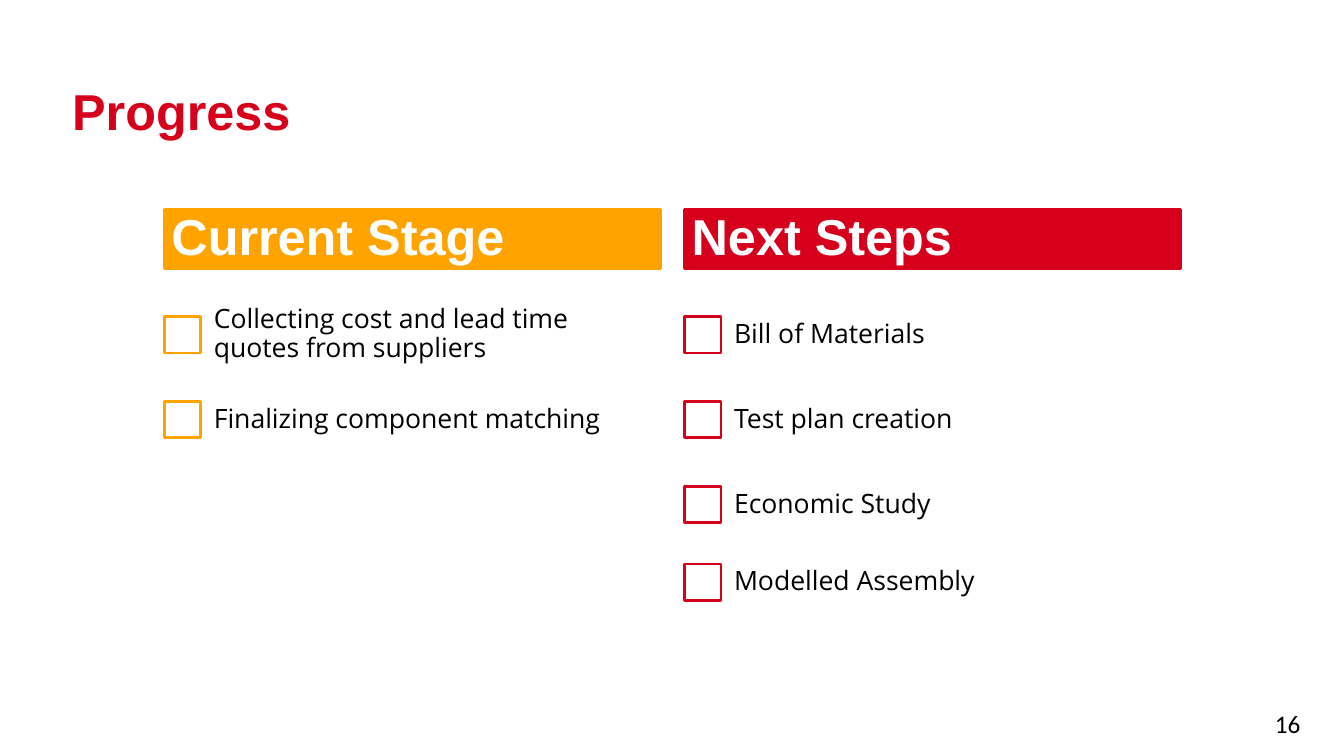
from pptx import Presentation
from pptx.dml.color import RGBColor
from pptx.enum.shapes import MSO_SHAPE
from pptx.enum.text import MSO_ANCHOR, PP_ALIGN
from pptx.util import Cm, Pt

RED, AMBER, WHITE, BLACK = "D6001C", "FFA300", "FFFFFF", "000000"
ROW_STEP, ROW_H = 2.14, 2.13
BOX = 0.92


def rgb(value):
    return RGBColor.from_string(value)


def write(shape, text, size=19, font="Open Sans", color=BLACK, bold=False,
          align=PP_ALIGN.LEFT, anchor=MSO_ANCHOR.MIDDLE, spacing=0.9,
          inset=(0.25, 0.13)):
    """Fill a shape with one formatted paragraph; inset is (sides, top and bottom)."""
    tf = shape.text_frame
    tf.word_wrap = True
    tf.vertical_anchor = anchor
    tf.margin_left = tf.margin_right = Cm(inset[0])
    tf.margin_top = tf.margin_bottom = Cm(inset[1])
    p = tf.paragraphs[0]
    p.alignment = align
    p.line_spacing = spacing
    r = p.add_run()
    r.text = text
    r.font.size = Pt(size)
    r.font.name = font
    r.font.bold = bold
    r.font.color.rgb = rgb(color)


def add_text(s, x, y, w, h, text, **style):
    write(s.shapes.add_textbox(Cm(x), Cm(y), Cm(w), Cm(h)), text, **style)


def add_rect(s, x, y, w, h, fill, line):
    sp = s.shapes.add_shape(MSO_SHAPE.RECTANGLE, Cm(x), Cm(y), Cm(w), Cm(h))
    sp.shadow.inherit = False
    sp.fill.solid()
    sp.fill.fore_color.rgb = rgb(fill)
    sp.line.color.rgb = rgb(line)
    sp.line.width = Pt(2)
    return sp


def add_check_item(s, x, y, w, text, color):
    add_rect(s, x, y + (ROW_H - BOX) / 2, BOX, BOX, WHITE, color)
    indent = 0.87
    add_text(s, x + indent, y, w - indent, ROW_H, text, inset=(0.38, 0.38))


def add_checklist(s, x, y, w, heading, color, items):
    """Place a heading bar with check items below; items are (text, upward shift)."""
    bar = add_rect(s, x, y, w, 1.48, color, color)
    write(bar, heading, size=36, font="Arial", color=WHITE, bold=True,
          inset=(0.18, 0.13))
    for i, (text, shift) in enumerate(items):
        add_check_item(s, x, y + 2.09 + i * ROW_STEP - shift, w, text, color)


def main():
    prs = Presentation()
    prs.slide_width, prs.slide_height = Cm(33.87), Cm(19.05)
    s = prs.slides.add_slide(prs.slide_layouts[6])
    add_text(s, 1.57, 1.3, 27, 2.87, "Progress", size=36, font="Arial",
             color=RED, bold=True, spacing=1.06)
    add_checklist(s, 4.14, 5.28, 12.5, "Current Stage", AMBER, [
        ("Collecting cost and lead time quotes from suppliers", 0),
        ("Finalizing component matching", 0),
    ])
    add_checklist(s, 17.25, 5.28, 12.5, "Next Steps", RED, [
        ("Bill of Materials", 0),
        ("Test plan creation", 0),
        ("Economic Study", 0),
        ("Modelled Assembly", 0.18),
    ])
    add_text(s, 25.4, 17.73, 7.62, 1.02, "16", size=18, font="Calibri",
             align=PP_ALIGN.RIGHT, anchor=MSO_ANCHOR.TOP, spacing=1.0)
    prs.save("out.pptx")


if __name__ == "__main__":
    main()
